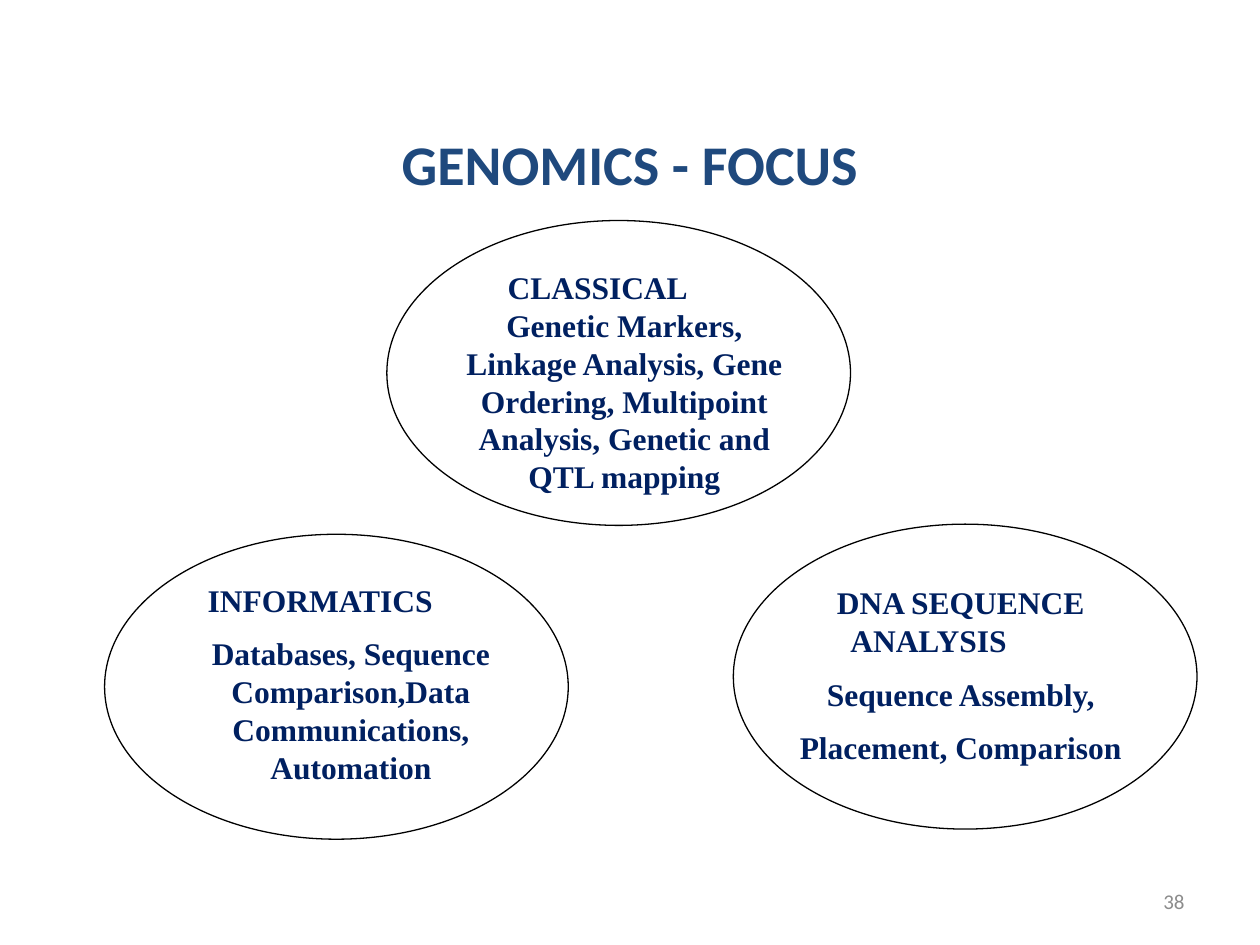
from dataclasses import dataclass

from pptx import Presentation
from pptx.dml.color import RGBColor
from pptx.enum import shapes, text
from pptx.util import Inches, Pt

ALIGN = text.PP_ALIGN
NAVY = "002060"
SERIF = "Times New Roman"


@dataclass
class Line:
    words: str
    gap: float = 0
    indent: float = 0  # a line with an indent is set from the left


@dataclass
class Topic:
    oval: tuple[float, float]
    label: tuple[float, float]
    lines: list[Line]


TOPICS = [
    Topic((3.07, 1.75), (3.5, 2.08), [
        Line("CLASSICAL", indent=0.43),
        Line("Genetic Markers, Linkage Analysis, Gene Ordering, "
             "Multipoint Analysis, Genetic and QTL mapping"),
    ]),
    Topic((0.83, 4.24), (1.33, 4.56), [
        Line("INFORMATICS", indent=0.22),
        Line("Databases, Sequence Comparison,Data Communications, Automation", 9),
    ]),
    Topic((5.82, 4.16), (6.17, 4.58), [
        Line("DNA SEQUENCE"),
        Line("ANALYSIS", indent=0.48),
        Line("Sequence Assembly,", 9),
        Line("Placement, Comparison", 9),
    ]),
]


def paint(color, value: str) -> None:
    color.rgb = RGBColor.from_string(value)


def write(slide, box: tuple, lines: list[Line], size: float, face: str,
          shade: str, bold: bool = True, align=ALIGN.CENTER,
          anchor=text.MSO_ANCHOR.MIDDLE) -> None:
    frame = slide.shapes.add_textbox(*map(Inches, box)).text_frame
    frame.word_wrap = True
    frame.vertical_anchor = anchor
    for i, line in enumerate(lines):
        para = frame.add_paragraph() if i else frame.paragraphs[0]
        para.alignment = align
        if line.indent:
            para.alignment = ALIGN.LEFT
            para._p.get_or_add_pPr().set("marL", str(Inches(line.indent)))
        if line.gap:
            para.space_before = Pt(line.gap)
        run = para.add_run()
        run.text = line.words
        font = run.font
        font.name, font.size, font.bold = face, Pt(size), bold
        paint(font.color, shade)


def draw_oval(slide, spot: tuple[float, float]) -> None:
    oval = slide.shapes.add_shape(
        shapes.MSO_SHAPE.OVAL, *map(Inches, (*spot, 3.68, 2.42)))
    oval.shadow.inherit = False
    oval.fill.background()
    paint(oval.line.color, "000000")
    oval.line.width = Pt(0.75)


def main() -> None:
    deck = Presentation()
    deck.slide_width, deck.slide_height = Inches(10), Inches(7.5)
    slide = deck.slides.add_slide(deck.slide_layouts[6])

    write(slide, (7.17, 6.95, 2.33, 0.4), [Line("38")], 12, "Calibri",
          "8C8C8C", bold=False, align=ALIGN.RIGHT)
    write(slide, (0.75, 0.67, 8.5, 1.25), [Line("GENOMICS - FOCUS")], 32,
          "Calibri", "1F497D")
    for topic in TOPICS:
        draw_oval(slide, topic.oval)
    for topic in TOPICS:
        write(slide, (*topic.label, 2.91, 1.77), topic.lines, 18, SERIF, NAVY,
              anchor=text.MSO_ANCHOR.TOP)

    deck.save("out.pptx")


if __name__ == "__main__":
    main()
